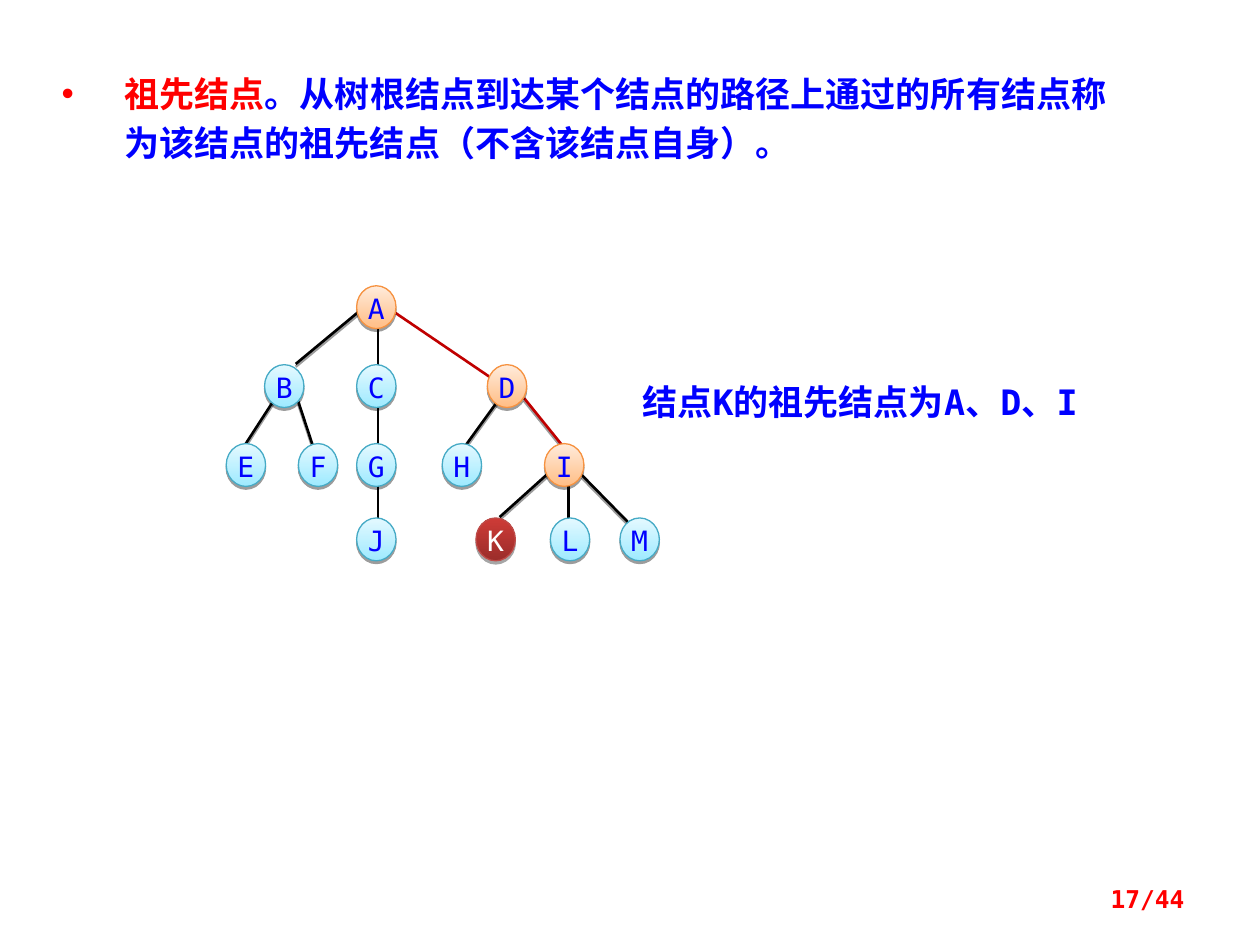
"""Build a slide that explains ancestor nodes with a tree diagram."""
from lxml import etree
from pptx import Presentation
from pptx import util as u
from pptx.dml.color import RGBColor
from pptx.enum import shapes, text
from pptx.oxml import ns

Pt = u.Pt
MONO, CJK = "DejaVu Sans Mono", "Noto Sans CJK SC"
COLORS = {"red": "FF0000", "blue": "0000FF", "black": "000000", "path": "C00000", "white": "FFFFFF"}
NODE_STYLES = {
    "plain": {"stops": ("9EEAFF", "E4F9FF"), "line": "46AAC5", "text": "blue", "shadow": (38, 1.6)},
    "ancestor": {"stops": ("FFBE86", "FFEBDB"), "line": "F69240", "text": "blue", "shadow": (38, 1.6)},
    "target": {"stops": ("9B2D2A", "CE3B37"), "line": "BE4B48", "text": "white", "shadow": (35, 1.8)},
}


def add_span(para, words, color, size, bold=True, latin=MONO):
    span = para.add_run()
    span.text = words
    for name, value in {"size": Pt(size), "bold": bold, "name": latin}.items():
        setattr(span.font, name, value)
    span.font.color.rgb = RGBColor.from_string(COLORS[color])
    etree.SubElement(span.font._element, ns.qn("a:ea"), typeface=CJK)


def set_shadow(shape, alpha=0, distance=0):
    effects = etree.SubElement(shape._element.spPr, ns.qn("a:effectLst"))
    if alpha:
        shadow = etree.SubElement(effects, ns.qn("a:outerShdw"), blurRad="0",
                                  dist=str(int(Pt(distance))), dir="5400000", rotWithShape="0")
        color = etree.SubElement(shadow, ns.qn("a:srgbClr"), val=COLORS["black"])
        etree.SubElement(color, ns.qn("a:alpha"), val=str(alpha * 1000))


deck = Presentation()
deck.slide_width, deck.slide_height = Pt(720), Pt(540)
page = deck.slides.add_slide(deck.slide_layouts[1])
title = page.shapes.title._element
title.getparent().remove(title)

body = page.placeholders[1]
body.left, body.top, body.width, body.height = Pt(28), Pt(34), Pt(618.5), Pt(63.5)
body.text_frame.auto_size = text.MSO_AUTO_SIZE.SHAPE_TO_FIT_TEXT
para = body.text_frame.paragraphs[0]
props = para._p.get_or_add_pPr()
props.set("marL", str(int(Pt(36))))
props.set("indent", str(int(Pt(-36))))
bullet_color = etree.SubElement(props, ns.qn("a:buClr"))
etree.SubElement(bullet_color, ns.qn("a:srgbClr"), val=COLORS["red"])
etree.SubElement(props, ns.qn("a:buChar"), char="•")
for name, value in {"line_spacing": Pt(28), "space_before": Pt(0)}.items():
    setattr(para, name, value)
add_span(para, "祖先结点", "red", 20, latin=CJK)
add_span(para, "。从树根结点到达某个结点的路径上通过的所有结点称为该结点的祖先结点（不含该结点自身）。", "blue", 20)

edges = [
    ("black", True, 204.5, 178.5, 169, 208),
    ("black", False, 216, 186, 216, 300),
    ("path", False, 225.5, 178.5, 280, 215.5),
    ("black", True, 156, 229.5, 139.5, 255),
    ("black", True, 170.5, 229.5, 180, 258.5),
    ("black", True, 286, 227, 265, 256),
    ("path", True, 299.5, 227.5, 322.5, 256),
    ("black", True, 315.5, 268.5, 285.5, 295.5),
    ("black", False, 324.7, 277, 324.7, 299.5),
    ("black", True, 332.5, 271.5, 359, 298.5),
]
for color, shaded, *ends in edges:
    edge = page.shapes.add_connector(shapes.MSO_CONNECTOR.STRAIGHT, *map(Pt, ends))
    edge.line.color.rgb = RGBColor.from_string(COLORS[color])
    edge.line.width = Pt(1.5)
    set_shadow(edge, *((38, 1.6) if shaded else ()))

rows = {
    163.3: {"A": 203.8},
    208.4: {"B": 151.2, "C": 203.8, "D": 278.5},
    253.5: {"E": 129.3, "F": 170.5, "G": 203.8, "H": 252.7, "I": 311.2},
    296: {"J": 203.8, "K": 272, "L": 314.5, "M": 354.3},
}
styles = {"A": "ancestor", "D": "ancestor", "I": "ancestor", "K": "target"}
for top, row in rows.items():
    for label, left in row.items():
        style = NODE_STYLES[styles.get(label, "plain")]
        node = page.shapes.add_shape(shapes.MSO_SHAPE.OVAL, Pt(left), Pt(top), Pt(22.5), Pt(24.5))
        node.fill.gradient()
        node.fill.gradient_angle = 90
        for stop, color in zip(node.fill.gradient_stops, style["stops"]):
            stop.color.rgb = RGBColor.from_string(color)
        node.line.color.rgb = RGBColor.from_string(style["line"])
        node.line.width = Pt(0.75)
        set_shadow(node, *style["shadow"])
        frame = node.text_frame
        for side in ("left", "top", "right", "bottom"):
            setattr(frame, f"margin_{side}", 0)
        frame.vertical_anchor = text.MSO_ANCHOR.TOP
        para = frame.paragraphs[0]
        para.alignment, para.line_spacing = text.PP_ALIGN.CENTER, Pt(19)
        add_span(para, label, style["text"], 16, bold=False)

captions = [
    ("结点K的祖先结点为A、D、I", "blue", 20, (360, 214, 286.5, 55.5),
     {"vertical_anchor": text.MSO_ANCHOR.TOP}, {}),
    ("17/44", "red", 14, (516, 500.5, 168, 29),
     {"vertical_anchor": text.MSO_ANCHOR.MIDDLE},
     {"alignment": text.PP_ALIGN.RIGHT, "line_spacing": 0.8}),
]
for words, color, size, place, frame_format, para_format in captions:
    box = page.shapes.add_textbox(*map(Pt, place))
    frame = box.text_frame
    para = frame.paragraphs[0]
    for target, values in ((frame, {"word_wrap": True, **frame_format}), (para, para_format)):
        for name, value in values.items():
            setattr(target, name, value)
    add_span(para, words, color, size)

deck.save("out.pptx")
